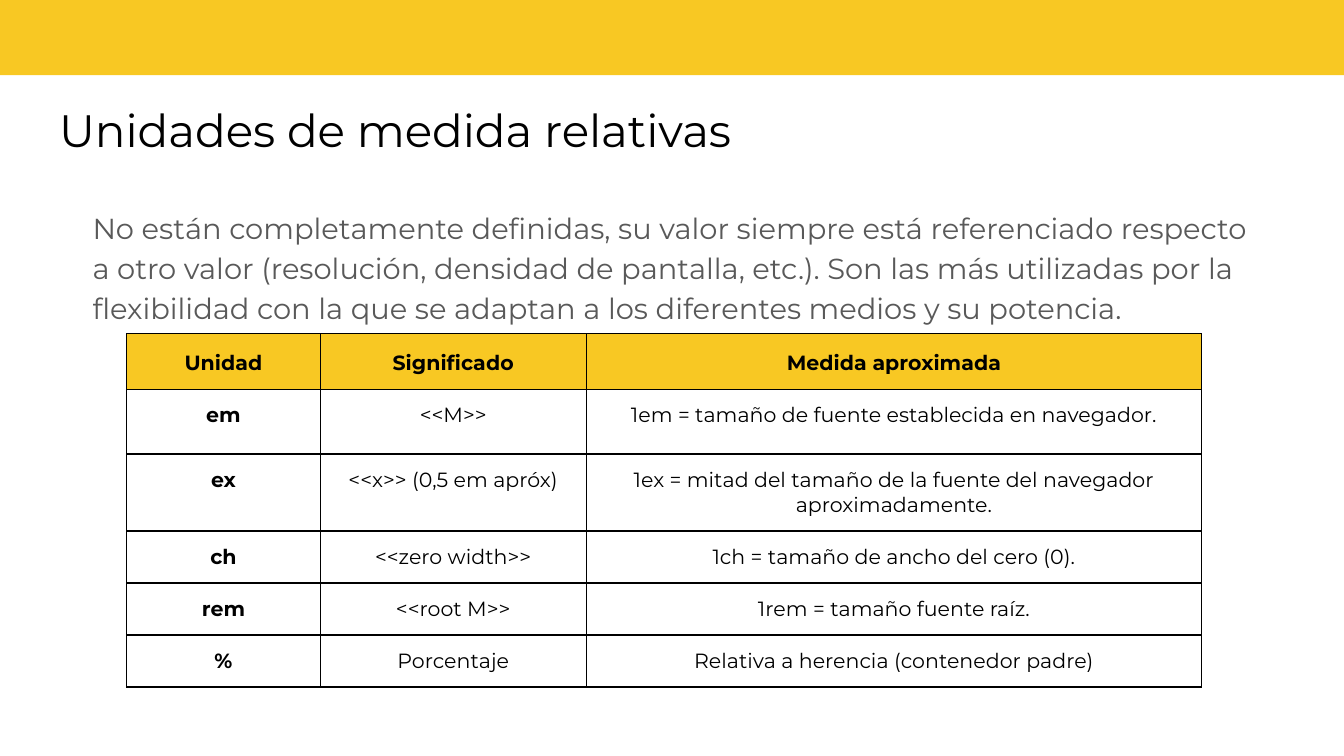
"""Build the slide on relative units of measure."""
from dataclasses import dataclass

from lxml import etree
from pptx import Presentation
from pptx.dml.color import RGBColor
from pptx.enum.shapes import MSO_SHAPE
from pptx.enum.text import MSO_ANCHOR, MSO_AUTO_SIZE, PP_ALIGN
from pptx.oxml.ns import qn
from pptx.util import Pt

RECT = MSO_SHAPE.RECTANGLE
TOP, MIDDLE = MSO_ANCHOR.TOP, MSO_ANCHOR.MIDDLE
LEFT, CENTER = PP_ALIGN.LEFT, PP_ALIGN.CENTER
NO_FIT = MSO_AUTO_SIZE.NONE
FONT = "Montserrat"
YELLOW, BLACK, GREY = "F8C823", "000000", "595959"
INSET = 7.2


@dataclass
class Style:
    """Character and paragraph format."""
    size: float
    color: str = BLACK
    bold: bool = False
    align: PP_ALIGN = LEFT
    spacing: float = 1.0
    after: float = 0


@dataclass
class Row:
    """One table row."""
    height: float
    texts: tuple[str, str, str]


TITLE = "Unidades de medida relativas"
BODY = (
    "No están completamente definidas, su valor siempre está referenciado respecto "
    "a otro valor (resolución, densidad de pantalla, etc.). Son las más utilizadas por la "
    "flexibilidad con la que se adaptan a los diferentes medios y su potencia."
)
COLUMNS = (103.7, 142.5, 329.8)
ROWS = (
    Row(27.4, ("Unidad", "Significado", "Medida aproximada")),
    Row(34.5, ("em", "<<M>>", "1em = tamaño de fuente establecida en navegador.")),
    Row(38.2, ("ex", "<<x>> (0,5 em apróx)",
               "1ex = mitad del tamaño de la fuente del navegador aproximadamente.")),
    Row(26, ("ch", "<<zero width>>", "1ch = tamaño de ancho del cero (0).")),
    Row(26, ("rem", "<<root M>>", "1rem = tamaño fuente raíz.")),
    Row(26, ("%", "Porcentaje", "Relativa a herencia (contenedor padre)")),
)


def rgb(color: str) -> RGBColor:
    """Turn a hex string into a colour."""
    return RGBColor.from_string(color)


def write(tf, text: str, style: Style):
    """Write one formatted paragraph and return it."""
    p = tf.paragraphs[0]
    p.alignment, p.line_spacing = style.align, style.spacing
    p.space_before, p.space_after = Pt(0), Pt(style.after)
    r = p.add_run()
    r.text = text
    r.font.name, r.font.size, r.font.bold = FONT, Pt(style.size), style.bold
    r.font.color.rgb = rgb(style.color)
    return p


def set_margins(item) -> None:
    """Give a cell or text frame equal insets."""
    item.margin_left = item.margin_right = Pt(INSET)
    item.margin_top = item.margin_bottom = Pt(INSET)


def fill_placeholder(sp, box: tuple, text: str, style: Style, anchor: MSO_ANCHOR):
    """Move a placeholder, write its text and return the paragraph."""
    sp.left, sp.top, sp.width, sp.height = map(Pt, box)
    tf = sp.text_frame
    tf.word_wrap, tf.auto_size, tf.vertical_anchor = True, NO_FIT, anchor
    set_margins(tf)
    return write(tf, text, style)


def add_borders(cell, color: str, width: float) -> None:
    """Draw a line on all four sides of a cell."""
    pr = cell._tc.get_or_add_tcPr()
    for i, side in enumerate(("a:lnL", "a:lnR", "a:lnT", "a:lnB")):
        ln = etree.Element(qn(side), w=str(Pt(width)))
        fill = etree.SubElement(ln, qn("a:solidFill"))
        etree.SubElement(fill, qn("a:srgbClr"), val=color)
        pr.insert(i, ln)


def add_units_table(s, left: float, top: float, rows: tuple[Row, ...]) -> None:
    """Add the table with a yellow header and a bold first column."""
    height = sum(row.height for row in rows)
    table = s.shapes.add_table(len(rows), len(COLUMNS), Pt(left), Pt(top),
                               Pt(sum(COLUMNS)), Pt(height)).table
    table.horz_banding = False
    for column, width in zip(table.columns, COLUMNS):
        column.width = Pt(width)
    for i, row in enumerate(rows):
        table.rows[i].height = Pt(row.height)
        header = i == 0
        for j, text in enumerate(row.texts):
            cell = table.cell(i, j)
            set_margins(cell)
            cell.vertical_anchor = TOP
            if header:
                cell.fill.solid()
                cell.fill.fore_color.rgb = rgb(YELLOW)
            else:
                cell.fill.background()
            add_borders(cell, BLACK, 0.75)
            write(cell.text_frame, text,
                  Style(11, bold=header or j == 0, align=CENTER,
                        spacing=1.15 if header else 1.0))


def add_band(s, box: tuple, color: str) -> None:
    """Add a plain coloured band."""
    sp = s.shapes.add_shape(RECT, *map(Pt, box))
    sp.shadow.inherit = False
    sp.fill.solid()
    sp.fill.fore_color.rgb = rgb(color)
    sp.line.fill.background()


def main() -> None:
    """Build and save the slide."""
    prs = Presentation()
    prs.slide_width, prs.slide_height = Pt(720), Pt(405)
    s = prs.slides.add_slide(prs.slide_layouts[1])
    add_band(s, (-0.7, -3.6, 722, 43.9), YELLOW)
    fill_placeholder(s.shapes.title, (24.5, 46.8, 669.6, 45.4), TITLE,
                     Style(24.3), MIDDLE)
    p = fill_placeholder(s.placeholders[1], (33.8, 103, 652.3, 261.4), BODY,
                         Style(15.5, GREY, spacing=1.15, after=6), TOP)
    pr = p._p.get_or_add_pPr()
    pr.set("marL", str(Pt(8.6)))
    pr.set("indent", "0")
    etree.SubElement(pr, qn("a:buNone"))
    add_units_table(s, 67.9, 178.8, ROWS)
    prs.save("out.pptx")


if __name__ == "__main__":
    main()
